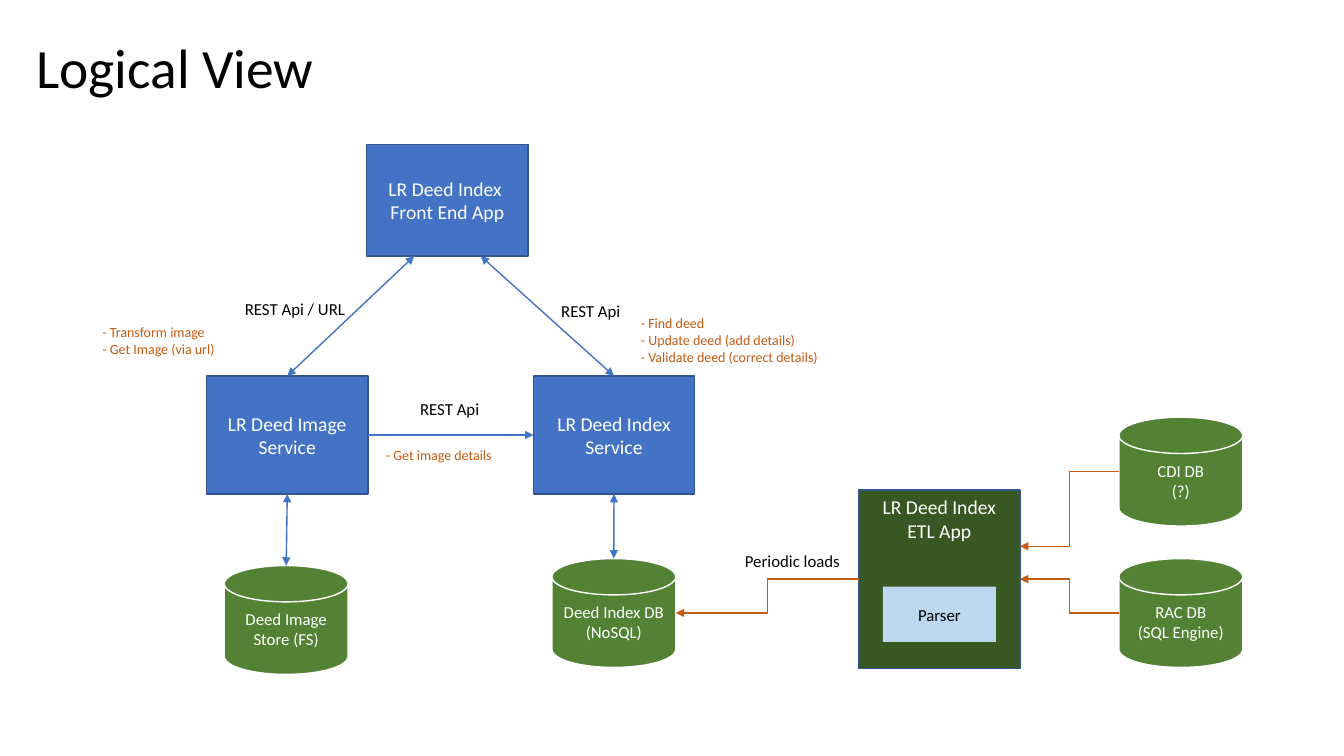
from pptx import Presentation
from pptx.dml.color import RGBColor
from pptx.enum.shapes import MSO_CONNECTOR, MSO_SHAPE
from pptx.enum.text import MSO_ANCHOR, MSO_AUTO_SIZE, PP_ALIGN
from pptx.oxml.ns import qn
from pptx.util import Pt
from lxml.etree import SubElement

WHITE = RGBColor(0xFF, 0xFF, 0xFF)
BLACK = RGBColor(0, 0, 0)
BLUE = RGBColor(0x44, 0x72, 0xC4)
NAVY = RGBColor(0x32, 0x54, 0x91)
PALE = RGBColor(0xBD, 0xD7, 0xEE)
GREEN = RGBColor(0x54, 0x82, 0x35)
FOREST = RGBColor(0x38, 0x57, 0x23)
RUST = RGBColor(0xC5, 0x5A, 0x11)

APP_W, APP_H = 115.2, 84.24
DISK_W, DISK_H = 88.5, 77.76


def write(frame, text, size, ink, align):
    frame.text = text
    for para in frame.paragraphs:
        para.alignment = align
        para.font.name = "Calibri"
        para.font.size = Pt(size)
        para.font.color.rgb = ink


def block(slide, kind, x, y, w, h, text, fill, edge=None, size=14, ink=WHITE):
    shape = slide.shapes.add_shape(kind, Pt(x), Pt(y), Pt(w), Pt(h))
    shape.shadow.inherit = False
    shape.fill.solid()
    shape.fill.fore_color.rgb = fill
    if edge is None:
        shape.line.fill.background()
    else:
        shape.line.color.rgb = edge
        shape.line.width = Pt(1)
    shape.text_frame.word_wrap = True
    shape.text_frame.vertical_anchor = MSO_ANCHOR.MIDDLE
    write(shape.text_frame, text, size, ink, PP_ALIGN.CENTER)
    return shape


def app(slide, x, y, text, h=APP_H, fill=BLUE):
    return block(slide, MSO_SHAPE.RECTANGLE, x, y, APP_W, h, text, fill, NAVY)


def disk(slide, x, y, text):
    return block(slide, MSO_SHAPE.FLOWCHART_MAGNETIC_DISK, x, y,
                 DISK_W, DISK_H, text, GREEN, WHITE, 12)


def label(slide, x, y, w, h, text, size=12, ink=BLACK):
    frame = slide.shapes.add_textbox(Pt(x), Pt(y), Pt(w), Pt(h)).text_frame
    frame.word_wrap = False
    frame.auto_size = MSO_AUTO_SIZE.SHAPE_TO_FIT_TEXT
    write(frame, text, size, ink, PP_ALIGN.LEFT)


def side(shape, index):
    across, down = [(0.5, 0), (0, 0.5), (0.5, 1), (1, 0.5)][index]
    return (int(shape.left + shape.width * across),
            int(shape.top + shape.height * down))


def link(slide, start, end, ink=BLUE, kind=MSO_CONNECTOR.STRAIGHT, both=False):
    line = slide.shapes.add_connector(kind, *start, *end)
    line.line.color.rgb = ink
    line.line.width = Pt(1)
    props = line._element.spPr.find(qn("a:ln"))
    for name in ("a:headEnd", "a:tailEnd") if both else ("a:tailEnd",):
        SubElement(props, qn(name)).set("type", "triangle")
    SubElement(line._element.spPr, qn("a:effectLst"))
    return line


def heading(slide, x, y, w, h):
    title = slide.shapes.title
    title.left, title.top, title.width, title.height = Pt(x), Pt(y), Pt(w), Pt(h)
    frame = title.text_frame
    write(frame, "Logical View", 39.6, BLACK, PP_ALIGN.LEFT)
    frame.paragraphs[0].line_spacing = 0.9
    frame.vertical_anchor = MSO_ANCHOR.MIDDLE
    frame.auto_size = MSO_AUTO_SIZE.NONE


def services(slide, x, y):
    row = y + 165.6
    front = app(slide, x + 196, y, "LR Deed Index \nFront End App", 79.92)
    image = app(slide, x + 81.6, row, "LR Deed Image Service")
    index = app(slide, x + 315, row, "LR Deed Index Service")
    files = disk(slide, x + 94.2, y + 301, "Deed Image Store (FS)")
    deeds = disk(slide, x + 328.2, y + 296, "Deed Index DB\n(NoSQL)")

    mid, foot = side(front, 2)
    for app_box, store, shift in ((image, files, -23.76), (index, deeds, 23.76)):
        call = link(slide, side(app_box, 0), (mid + Pt(shift), foot), both=True)
        call.begin_connect(app_box, 0)
        save = link(slide, side(store, 0), side(app_box, 2), both=True)
        save.end_connect(app_box, 2)
    fetch = link(slide, side(image, 3), side(index, 1))
    fetch.begin_connect(image, 3)
    fetch.end_connect(index, 1)

    label(slide, x + 101.8, y + 107.2, 87.12, 21.6, "REST Api / URL")
    label(slide, x + 327.8, y + 108, 57.6, 21.6, "REST Api")
    label(slide, x + 227, y + 178.6, 57.6, 21.6, "REST Api")
    for dx, dy, w, h, text in (
        (384.7, 118, 143.28, 43.92,
         "- Find deed\n- Update deed (add details)\n- Validate deed (correct details)"),
        (0.2, 124.5, 95.76, 31.68, "- Transform image\n- Get Image (via url)"),
        (202.6, 212.4, 108.72, 19.44, "- Get image details"),
    ):
        label(slide, x + dx, y + dy, w, h, text, 10, RUST)
    return deeds


def loads(slide, x, y, target):
    etl = app(slide, x + 88.4, y + 52, "LR Deed Index ETL App", 127.44, FOREST)
    etl.text_frame.vertical_anchor = MSO_ANCHOR.TOP
    block(slide, MSO_SHAPE.RECTANGLE, x + 105.7, y + 121, 80.64, 39.6,
          "Parser", PALE, size=12, ink=BLACK)
    label(slide, x, y + 92.2, 87.84, 21.6, "Periodic loads")

    right, mid = side(etl, 3)
    link(slide, side(etl, 1), side(target, 3), RUST, MSO_CONNECTOR.ELBOW)
    for dy, text, end in ((0, "CDI DB\n(?)", Pt(y + 92.2)),
                          (101, "RAC DB\n(SQL Engine)", mid)):
        source = disk(slide, x + 274.2, y + dy, text)
        link(slide, side(source, 1), (right, end), RUST, MSO_CONNECTOR.ELBOW)


def main():
    deck = Presentation()
    deck.slide_width, deck.slide_height = Pt(960), Pt(540)
    slide = deck.slides.add_slide(deck.slide_layouts[5])
    heading(slide, 18.7, 28.8, 278, 42.5)
    deeds = services(slide, 66, 103)
    loads(slide, 525, 298, deeds)
    deck.save("out.pptx")


if __name__ == "__main__":
    main()
